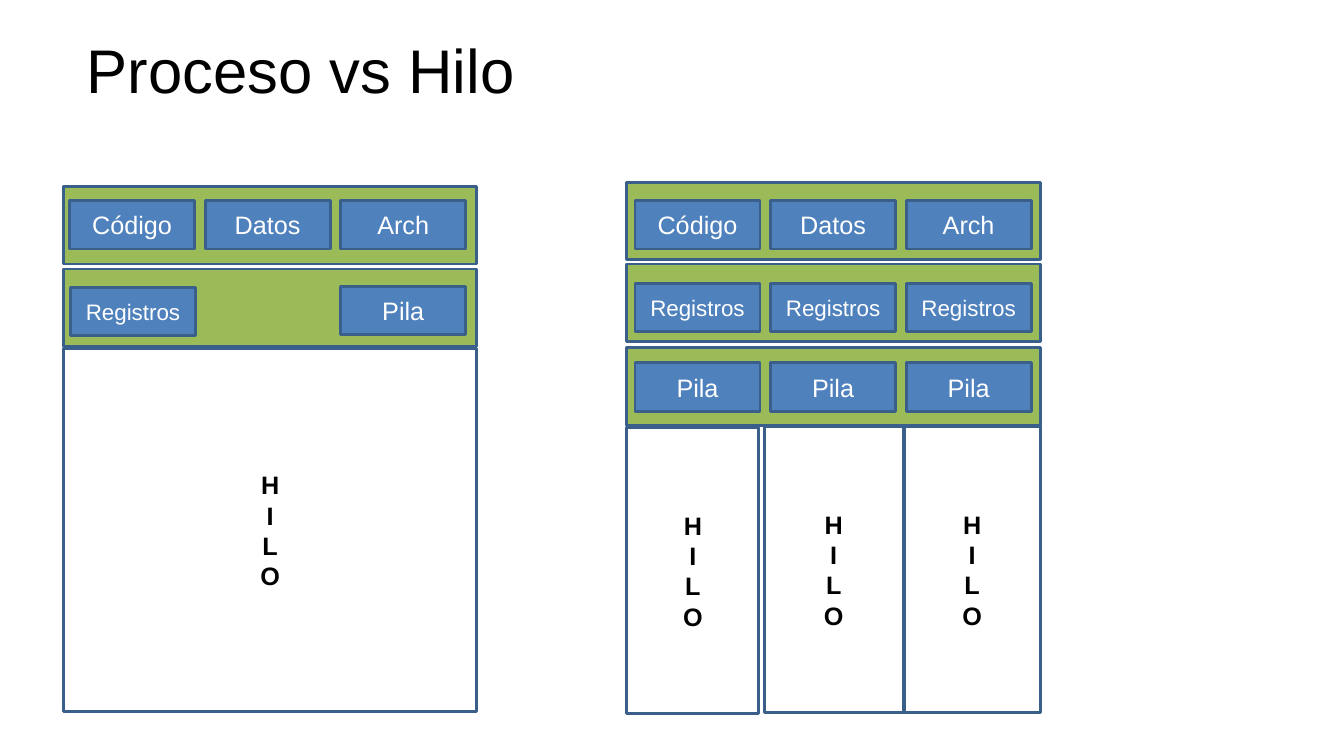
import dataclasses

import pptx
import pptx.dml.color
import pptx.enum.shapes
import pptx.enum.text
import pptx.util

Pt = pptx.util.Pt
ALIGN = pptx.enum.text.PP_ALIGN


@dataclasses.dataclass(frozen=True)
class Theme:
    font: str = "Arial"
    black: str = "000000"
    white: str = "FFFFFF"
    green: str = "9BBB59"
    blue: str = "4F81BD"
    outline: str = "3A5F8B"
    title_size: int = 44
    label_size: int = 18
    small_size: int = 16
    line_width: int = 2


BAND_WIDTH, BAND_HEIGHT = 295.2, 55.4
RESOURCE_WIDTH, RESOURCE_HEIGHT = 89.3, 34.6
COLUMN_STEP = 96.85
PROCESS_LEFT, THREADS_LEFT = 45.4, 447.8
PROCESS_COLUMN, THREADS_COLUMN = 49.7, 453.6

# Band positions: left, top
BANDS = [
    (THREADS_LEFT, 248.4),
    (PROCESS_LEFT, 192.2),
    (THREADS_LEFT, 188.6),
    (THREADS_LEFT, 130.3),
    (PROCESS_LEFT, 133.2),
]
# Resource rows: first column left, top, labels
SHARED = ["Código", "Datos", "Arch"]
RESOURCE_ROWS = [
    (PROCESS_COLUMN, 143.3, SHARED),
    (THREADS_COLUMN, 143.3, SHARED),
    (THREADS_COLUMN, 259.2, ["Pila"] * 3),
    (THREADS_COLUMN, 202.3, ["Registros"] * 3),
    (50.4, 205.2, ["Registros"]),
    (PROCESS_COLUMN + 2 * COLUMN_STEP, 204.5, ["Pila"]),
]
# Thread panels: left, top, width, height
THREADS = [
    (PROCESS_LEFT, 249.1, BAND_WIDTH, 259.2),
    (THREADS_LEFT, 305.6, 94.3, 204.2),
    (545.8, 304.9, 99.4, 204.2),
    (645.8, 304.9, 97.2, 204.2),
]


def write_text(shape, text, *, font, size, color, bold=False,
               align=ALIGN.CENTER, line_spacing=None, inset=(7.2, 3.6)):
    """Fill a shape with middle-anchored text, one paragraph per line."""
    frame = shape.text_frame
    frame.word_wrap = True
    frame.vertical_anchor = pptx.enum.text.MSO_ANCHOR.MIDDLE
    frame.margin_left = frame.margin_right = Pt(inset[0])
    frame.margin_top = frame.margin_bottom = Pt(inset[1])
    frame.text = text
    for para in frame.paragraphs:
        para.alignment = align
        para.line_spacing = line_spacing
        for span in para.runs:
            span.font.name = font
            span.font.size = Pt(size)
            span.font.bold = bold
            span.font.color.rgb = pptx.dml.color.RGBColor.from_string(color)


class SlideBuilder:
    def __init__(self, page, theme):
        self.page = page
        self.theme = theme

    def title(self, text, left, top, width, height):
        box = self.page.shapes.add_textbox(Pt(left), Pt(top), Pt(width), Pt(height))
        write_text(box, text, font=self.theme.font, size=self.theme.title_size,
                   color=self.theme.black, align=ALIGN.LEFT, line_spacing=0.9,
                   inset=(0, 0))

    def rectangle(self, left, top, width, height, fill):
        box = self.page.shapes.add_shape(
            pptx.enum.shapes.MSO_SHAPE.RECTANGLE,
            Pt(left), Pt(top), Pt(width), Pt(height))
        box.shadow.inherit = False
        box.fill.solid()
        box.fill.fore_color.rgb = pptx.dml.color.RGBColor.from_string(fill)
        box.line.color.rgb = pptx.dml.color.RGBColor.from_string(self.theme.outline)
        box.line.width = Pt(self.theme.line_width)
        return box

    def band(self, left, top):
        self.rectangle(left, top, BAND_WIDTH, BAND_HEIGHT, self.theme.green)

    def resource(self, text, left, top):
        box = self.rectangle(left, top, RESOURCE_WIDTH, RESOURCE_HEIGHT, self.theme.blue)
        size = self.theme.small_size if text == "Registros" else self.theme.label_size
        write_text(box, text, font=self.theme.font, size=size, color=self.theme.white)

    def thread(self, left, top, width, height):
        box = self.rectangle(left, top, width, height, self.theme.white)
        write_text(box, "\n".join("HILO"), font=self.theme.font,
                   size=self.theme.label_size, color=self.theme.black, bold=True)


def main():
    deck = pptx.Presentation()
    deck.slide_width, deck.slide_height = Pt(960), Pt(540)
    page = deck.slides.add_slide(deck.slide_layouts[6])
    builder = SlideBuilder(page, Theme())

    for left, top in BANDS:
        builder.band(left, top)
    builder.title("Proceso vs Hilo", 61.9, 0, 828, 104.4)
    for left, top, labels in RESOURCE_ROWS:
        for column, label in enumerate(labels):
            builder.resource(label, left + column * COLUMN_STEP, top)
    for panel in THREADS:
        builder.thread(*panel)

    deck.save("out.pptx")


if __name__ == "__main__":
    main()
